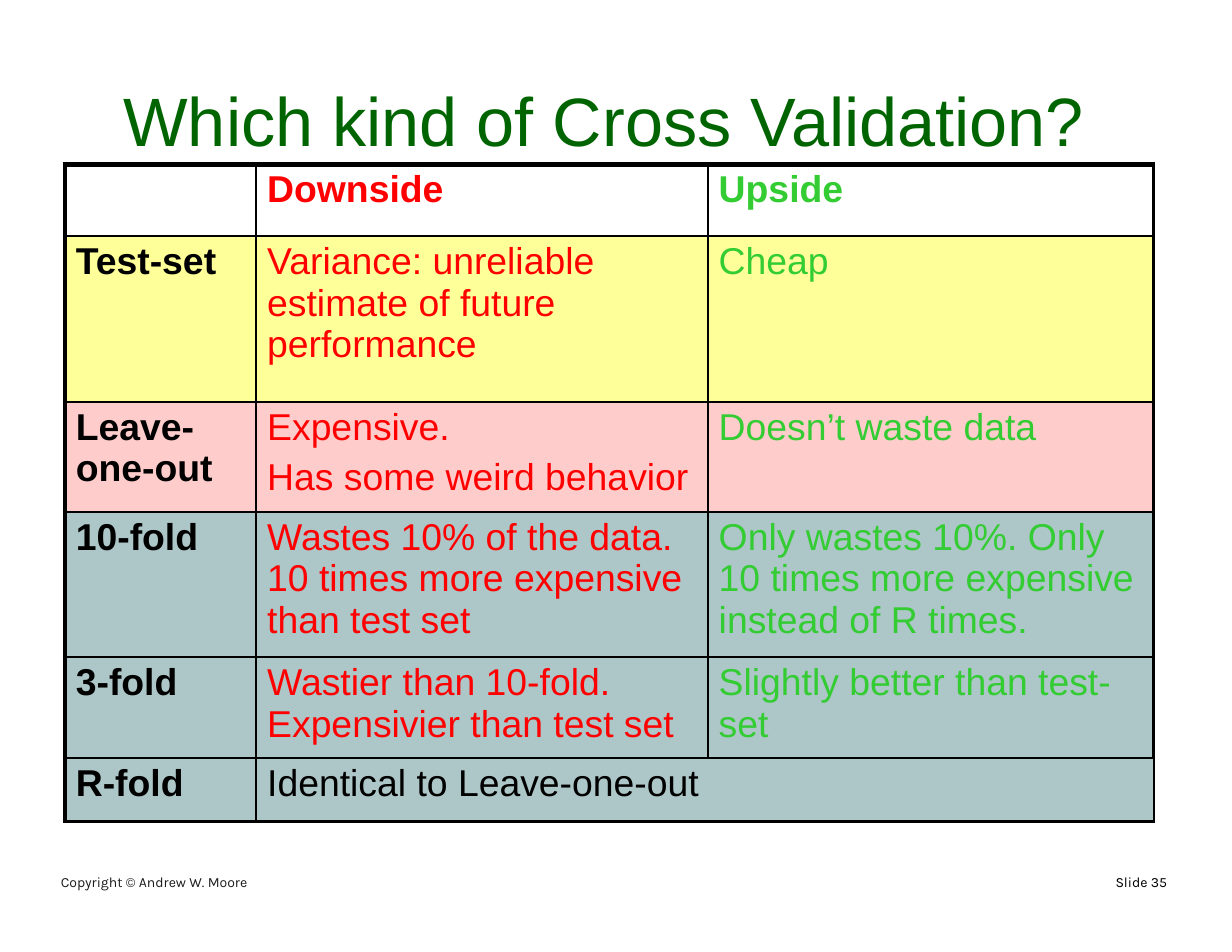
from dataclasses import dataclass

from lxml import etree
from pptx import Presentation
from pptx.dml.color import RGBColor
from pptx.oxml.ns import qn
from pptx.util import Cm, Pt


@dataclass(frozen=True)
class Theme:
    black: str = "000000"
    footer: str = "1B1B1B"
    title: str = "006500"
    downside: str = "FF0000"
    upside: str = "33CC33"
    yellow: str = "FFFF99"
    pink: str = "FFCCCC"
    teal: str = "ADC6C7"
    font: str = "Arial"
    footer_font: str = "Karla"
    title_size: float = 44
    table_size: float = 24
    footer_size: float = 9
    inner_line: float = 1.5
    end_line: float = 2.25
    start_line: float = 3


class Page:
    def __init__(self, deck, theme):
        self.theme = theme
        self.slide = deck.slides.add_slide(deck.slide_layouts[6])

    def add_span(self, para, text, font, size, color, bold=False, before=0):
        para.space_before = Pt(before)
        span = para.add_run()
        span.text = text
        span.font.name = font
        span.font.size = Pt(size)
        span.font.bold = bold
        span.font.color.rgb = RGBColor.from_string(color)

    def add_text(self, left, top, width, height, text, font, size, color):
        box = self.slide.shapes.add_textbox(Cm(left), Cm(top), Cm(width), Cm(height))
        frame = box.text_frame
        frame.word_wrap = True
        frame.margin_left = Cm(0.03)
        frame.margin_top = Cm(0.03)
        frame.margin_right = frame.margin_bottom = 0
        self.add_span(frame.paragraphs[0], text, font, size, color, before=1)

    def add_borders(self, cell, sides):
        properties = cell._tc.get_or_add_tcPr()
        for side in "LRTB":
            line = etree.SubElement(properties, qn(f"a:ln{side}"), w=str(Pt(sides[side])))
            fill = etree.SubElement(line, qn("a:solidFill"))
            etree.SubElement(fill, qn("a:srgbClr"), val=self.theme.black)

    def fill_cell(self, cell, lines, color, bold, fill, sides):
        cell.margin_left = cell.margin_right = Cm(0.25)
        cell.margin_top, cell.margin_bottom = Cm(0.1), 0
        frame = cell.text_frame
        for number, line in enumerate(lines):
            para = frame.add_paragraph() if number else frame.paragraphs[0]
            self.add_span(para, line, self.theme.font, self.theme.table_size, color,
                          bold, before=5.7 if number else 2.9)
        self.add_borders(cell, sides)
        if fill:
            cell.fill.solid()
            cell.fill.fore_color.rgb = RGBColor.from_string(fill)
        else:
            cell.fill.background()

    def add_table(self, left, top, widths, heights, rows):
        theme = self.theme
        table = self.slide.shapes.add_table(
            len(heights), len(widths), Cm(left), Cm(top),
            Cm(sum(widths)), Cm(sum(heights))).table
        table.first_row = table.horz_banding = False
        for column, width in zip(table.columns, widths):
            column.width = Cm(width)
        for row, height in zip(table.rows, heights):
            row.height = Cm(height)

        last_row, last_column = len(heights) - 1, len(widths) - 1
        column_colors = (theme.black, theme.downside, theme.upside)
        for r, (fill, *texts) in enumerate(rows):
            for c, lines in enumerate(texts):
                sides = {
                    "L": theme.inner_line if c else theme.start_line,
                    "R": theme.end_line if c == last_column else theme.inner_line,
                    "T": theme.inner_line if r else theme.start_line,
                    "B": theme.end_line if r == last_row else theme.inner_line,
                }
                color = theme.black if r == last_row else column_colors[c]
                self.fill_cell(table.cell(r, c), lines, color, r == 0 or c == 0, fill, sides)
        # The last row has one verdict across both columns
        table.cell(last_row, 1).merge(table.cell(last_row, last_column))


theme = Theme()
deck = Presentation()
deck.slide_width, deck.slide_height = Cm(27.94), Cm(21.59)
page = Page(deck, theme)

# Footer
for left, width, text, color in (
    (1.35, 4.42, "Copyright © Andrew W. Moore", theme.footer),
    (25.27, 1.3, "Slide 35", theme.black),
):
    page.add_text(left, 19.79, width, 0.46, text, theme.footer_font, theme.footer_size, color)

# Title
page.add_text(2.77, 1.75, 22, 1.93, "Which kind of Cross Validation?",
              theme.font, theme.title_size, theme.title)

# Comparison table: fill, then the lines of each cell
page.add_table(
    1.47, 3.73, (4.34, 10.24, 10.11), (1.63, 3.76, 2.49, 3.3, 2.29, 1.42),
    (
        (None, [], ["Downside"], ["Upside"]),
        (theme.yellow, ["Test-set"],
         ["Variance: unreliable estimate of future performance"], ["Cheap"]),
        (theme.pink, ["Leave- one-out"],
         ["Expensive.", "Has some weird behavior"], ["Doesn’t waste data"]),
        (theme.teal, ["10-fold"],
         ["Wastes 10% of the data. 10 times more expensive than test set"],
         ["Only wastes 10%. Only 10 times more expensive instead of R times."]),
        (theme.teal, ["3-fold"],
         ["Wastier than 10-fold. Expensivier than test set"],
         ["Slightly better than test- set"]),
        (theme.teal, ["R-fold"], ["Identical to Leave-one-out"], []),
    ),
)

deck.save("out.pptx")
